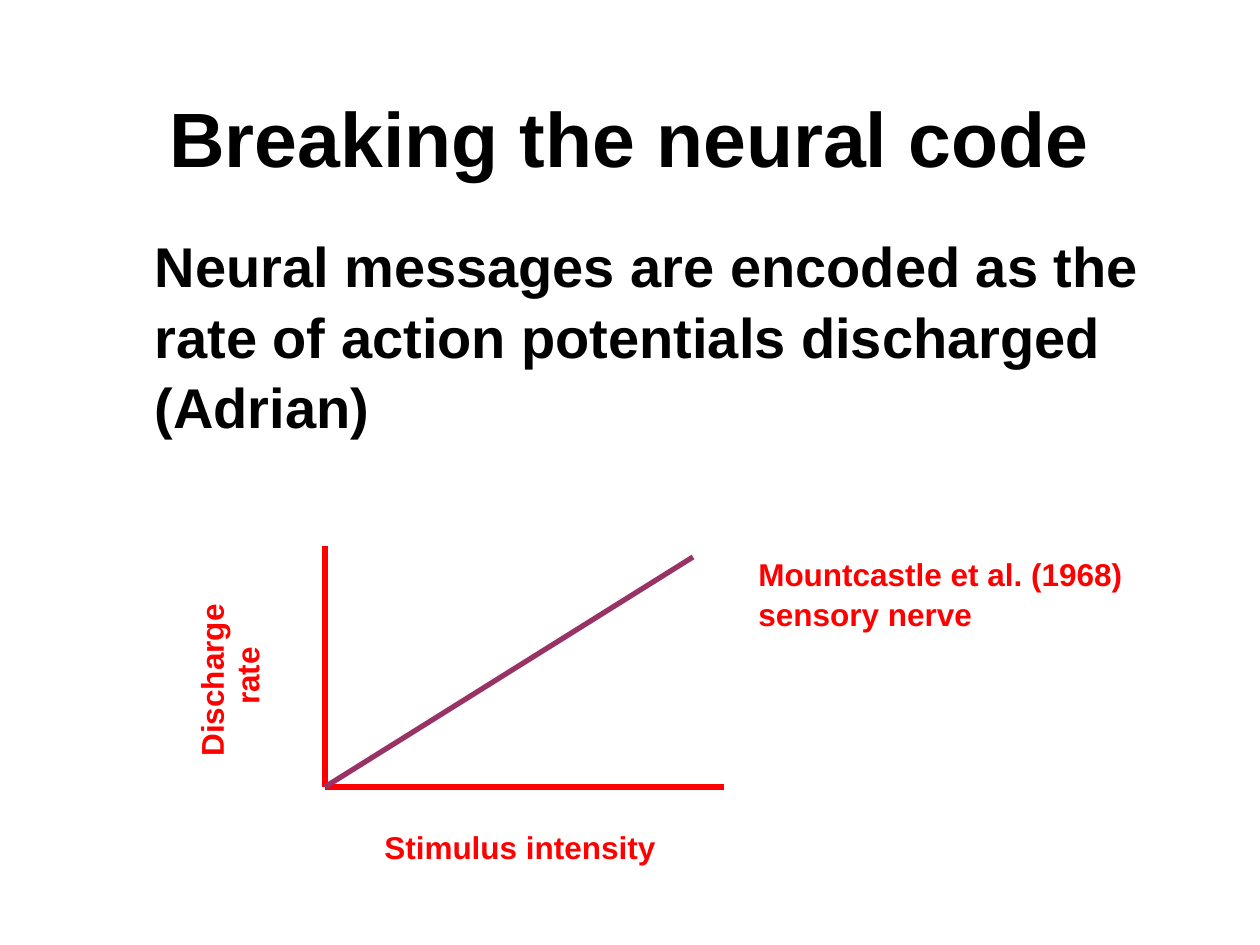
from dataclasses import dataclass

from lxml.etree import SubElement
from pptx import Presentation
from pptx.dml.color import RGBColor
from pptx.enum.shapes import MSO_CONNECTOR
from pptx.enum.text import MSO_ANCHOR as Anchor, PP_ALIGN as Align
from pptx.oxml.ns import qn
from pptx.util import Emu, Pt

PX = 914400 / 126


@dataclass(frozen=True)
class Theme:
    font: str = "Arial"
    ink: RGBColor = RGBColor(0x00, 0x00, 0x00)
    axis: RGBColor = RGBColor(0xFF, 0x00, 0x00)
    trend: RGBColor = RGBColor(0x99, 0x33, 0x66)
    title: int = 44
    body: int = 32
    label: int = 18
    line: int = 3
    spacing: float = 1.05
    tight: float = 0.52


THEME = Theme()


def px(n):
    return Emu(round(n * PX))


def add_text(slide, box, paragraphs, size, color, align=Align.LEFT,
             anchor=Anchor.TOP, spacing=THEME.spacing, indent=0, rotation=0):
    """Bold text box; paragraphs after the first get half a line before."""
    sp = slide.shapes.add_textbox(*map(px, box))
    sp.rotation = rotation
    tf = sp.text_frame
    tf.word_wrap = True
    tf.vertical_anchor = anchor
    tf.margin_left += px(indent)
    font = {"name": THEME.font, "size": Pt(size), "bold": True}
    for i, text in enumerate(paragraphs):
        p = tf.add_paragraph() if i else tf.paragraphs[0]
        p.alignment = align
        p.line_spacing = spacing
        if i:
            p.space_before = Pt(size / 2)
        r = p.add_run()
        r.text = text
        for name, value in font.items():
            setattr(r.font, name, value)
        r.font.color.rgb = color


def add_line(slide, start, end, color):
    line = slide.shapes.add_connector(
        MSO_CONNECTOR.STRAIGHT, *map(px, start + end))
    line.line.color.rgb = color
    line.line.width = Pt(THEME.line)
    SubElement(line._element.spPr, qn("a:effectLst"))


def add_graph(slide):
    """Axes, rising line and axis labels."""
    origin = (325, 787)
    for end, color in (((325, 546), THEME.axis),
                       ((724, 787), THEME.axis),
                       ((693, 557), THEME.trend)):
        add_line(slide, origin, end, color)
    label = {"size": THEME.label, "color": THEME.axis, "align": Align.CENTER}
    add_text(slide, (315, 820, 410, 63), ["Stimulus intensity"], **label)
    add_text(slide, (73, 632, 346, 88), ["Discharge ", "rate"],
             spacing=THEME.tight, rotation=270, **label)


def main():
    prs = Presentation()
    prs.slide_width, prs.slide_height = px(1260), px(945)
    slide = prs.slides.add_slide(prs.slide_layouts[6])

    # Heading and statement
    add_text(slide, (94, 45, 1071, 179), ["Breaking the neural code"],
             THEME.title, THEME.ink, Align.CENTER, Anchor.MIDDLE)
    add_text(slide, (94, 222, 1071, 620),
             ["Neural messages are encoded as the rate of action potentials "
              "discharged (Adrian)"],
             THEME.body, THEME.ink, indent=48)

    # Graph and its source
    add_graph(slide)
    add_text(slide, (746, 547, 514, 113),
             ["Mountcastle et al. (1968) sensory nerve"],
             THEME.label, THEME.axis)

    prs.save("out.pptx")


if __name__ == "__main__":
    main()
